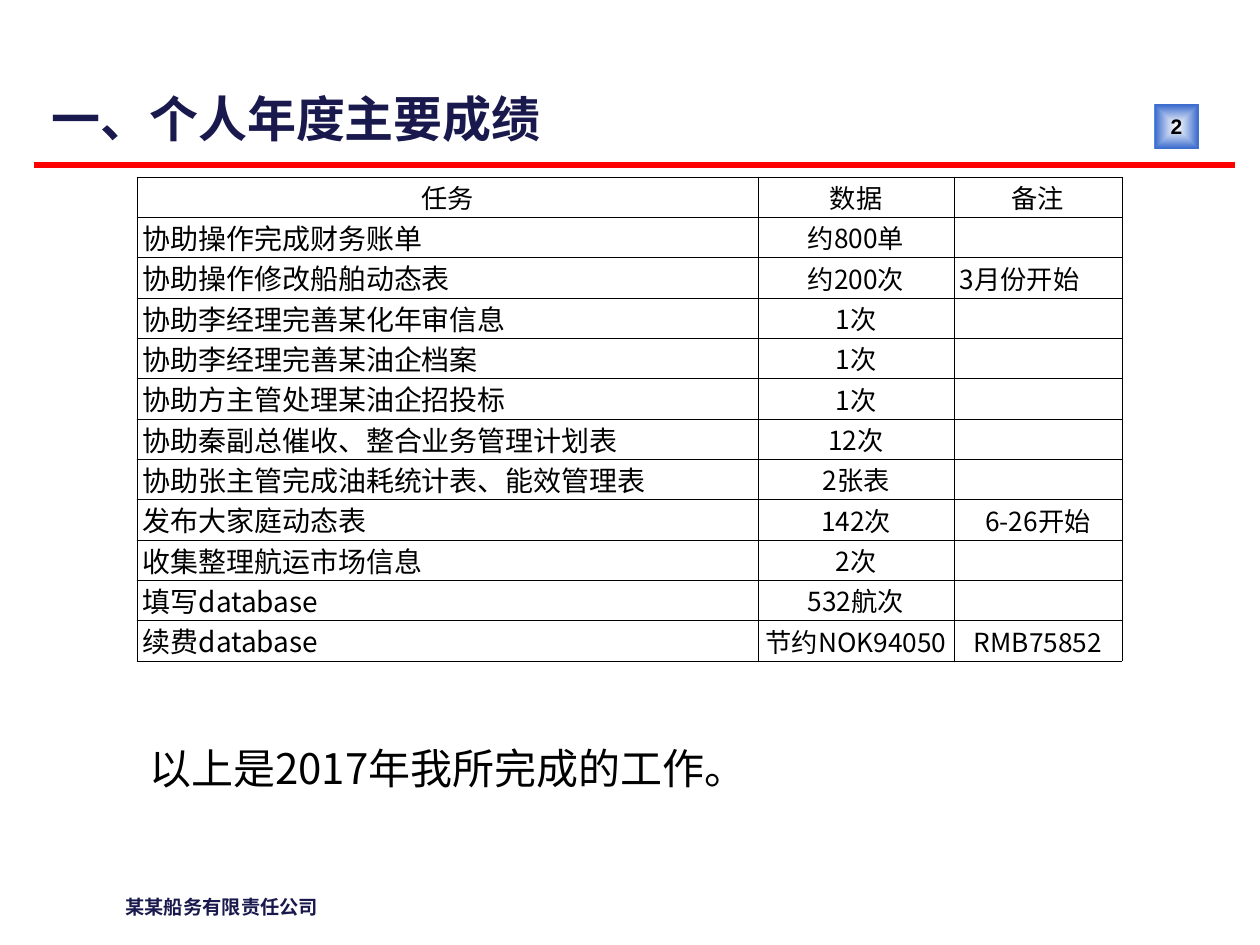
from dataclasses import dataclass
from lxml.etree import SubElement
from pptx import Presentation
from pptx.dml.color import RGBColor
from pptx.enum.shapes import MSO_CONNECTOR, MSO_SHAPE
from pptx.enum.text import MSO_ANCHOR, PP_ALIGN
from pptx.oxml.ns import qn
from pptx.util import Emu, Pt

TITLE = "一、个人年度主要成绩"
CLOSING = "以上是2017年我所完成的工作。"
FOOTER = "某某船务有限责任公司"
PAGE = "2"
HEAD = ("任务", "数据", "备注")
TASKS = [
    ("协助操作完成财务账单", "约800单", ""),
    ("协助操作修改船舶动态表", "约200次", "3月份开始"),
    ("协助李经理完善某化年审信息", "1次", ""),
    ("协助李经理完善某油企档案", "1次", ""),
    ("协助方主管处理某油企招投标", "1次", ""),
    ("协助秦副总催收、整合业务管理计划表", "12次", ""),
    ("协助张主管完成油耗统计表、能效管理表", "2张表", ""),
    ("发布大家庭动态表", "142次", "6-26开始"),
    ("收集整理航运市场信息", "2次", ""),
    ("填写database", "532航次", ""),
    ("续费database", "节约NOK94050", "RMB75852"),
]
LEFT_NOTES = {"3月份开始"}

# Lengths in px
SLIDE = (1260, 945)
TITLE_BOX = (39, 69, 1191, 98)
CLOSING_BOX = (137, 736, 956, 63)
FOOTER_BOX = (113, 889, 476, 36)
BADGE = (1155, 105, 43, 43)
RULE = (34, 165, 1235, 165)
GRID_AT = (137, 177)
COLS = (621, 196, 168)
GRID_H = 484
INDENT = 6


@dataclass(frozen=True)
class Theme:
    cjk: str = "Noto Sans CJK SC"
    latin: str = "Arial"
    navy: str = "19194D"
    black: str = "000000"
    white: str = "FFFFFF"
    blue: str = "3366CC"
    red: str = "FF0000"
    title: int = 28
    closing: int = 24
    task: int = 16
    cell: int = 15
    badge: int = 12
    footer: int = 11
    rule: int = 3
    border: float = 0.5


T = Theme()


def px(n):
    return Emu(round(n * 914400 / 126))


def spots(box):
    return [px(n) for n in box]


def write(frame, text, size, color=T.black, bold=False, face=T.cjk, align=PP_ALIGN.LEFT):
    para = frame.paragraphs[0]
    para.alignment = align
    run = para.add_run()
    run.text = text
    font = run.font
    font.name, font.size, font.bold = face, Pt(size), bold
    font.color.rgb = RGBColor.from_string(color)
    SubElement(font._element, qn("a:ea"), typeface=face)


def label(slide, box, text, size, color=T.black, bold=False, anchor=MSO_ANCHOR.TOP):
    frame = slide.shapes.add_textbox(*spots(box)).text_frame
    frame.word_wrap = True
    frame.vertical_anchor = anchor
    write(frame, text, size, color, bold)


def add_rule(slide):
    rule = slide.shapes.add_connector(MSO_CONNECTOR.STRAIGHT, *spots(RULE))
    rule.line.color.rgb = RGBColor.from_string(T.red)
    rule.line.width = Pt(T.rule)
    SubElement(rule._element.spPr, qn("a:effectLst"))


def add_badge(slide):
    badge = slide.shapes.add_shape(MSO_SHAPE.RECTANGLE, *spots(BADGE))
    badge.shadow.inherit = False
    badge.line.fill.background()
    badge.fill.gradient()
    for stop, color in zip(badge.fill.gradient_stops, (T.white, T.blue)):
        stop.color.rgb = RGBColor.from_string(color)
    grad = badge._element.spPr.find(qn("a:gradFill"))
    SubElement(grad.find(".//" + qn("a:srgbClr")), qn("a:alpha"), val="79000")
    grad.remove(grad.find(qn("a:lin")))
    burst = SubElement(grad, qn("a:path"), {"path": "shape"})
    SubElement(burst, qn("a:fillToRect"), {side: "50000" for side in "ltrb"})
    frame = badge.text_frame
    frame.word_wrap = False
    frame.vertical_anchor = MSO_ANCHOR.MIDDLE
    write(frame, PAGE, T.badge, bold=True, face=T.latin, align=PP_ALIGN.CENTER)


def style(cell):
    """Give a cell thin borders, no fill and no margins."""
    props = cell._tc.get_or_add_tcPr()
    for side in ("lnL", "lnR", "lnT", "lnB"):
        edge = SubElement(props, qn("a:" + side), w=str(Pt(T.border)))
        SubElement(SubElement(edge, qn("a:solidFill")), qn("a:srgbClr"), val=T.black)
    cell.fill.background()
    cell.margin_left = cell.margin_right = cell.margin_top = cell.margin_bottom = 0
    cell.vertical_anchor = MSO_ANCHOR.MIDDLE


def add_grid(slide):
    rows = [HEAD, *TASKS]
    box = (*GRID_AT, sum(COLS), GRID_H)
    grid = slide.shapes.add_table(len(rows), len(COLS), *spots(box)).table
    for col, width in zip(grid.columns, COLS):
        col.width = px(width)
    for r, row in enumerate(rows):
        grid.rows[r].height = px(GRID_H / len(rows))
        for c, text in enumerate(row):
            cell = grid.cell(r, c)
            style(cell)
            task = r > 0 and c == 0
            left = task or text in LEFT_NOTES
            if left:
                cell.margin_left = px(INDENT)
            write(cell.text_frame, text, T.task if task else T.cell,
                  align=PP_ALIGN.LEFT if left else PP_ALIGN.CENTER)


def main():
    deck = Presentation()
    deck.slide_width, deck.slide_height = spots(SLIDE)
    slide = deck.slides.add_slide(deck.slide_layouts[6])
    label(slide, FOOTER_BOX, FOOTER, T.footer, T.navy, True)
    add_rule(slide)
    add_badge(slide)
    label(slide, CLOSING_BOX, CLOSING, T.closing)
    label(slide, TITLE_BOX, TITLE, T.title, T.navy, True, MSO_ANCHOR.MIDDLE)
    add_grid(slide)
    deck.save("out.pptx")


if __name__ == "__main__":
    main()
